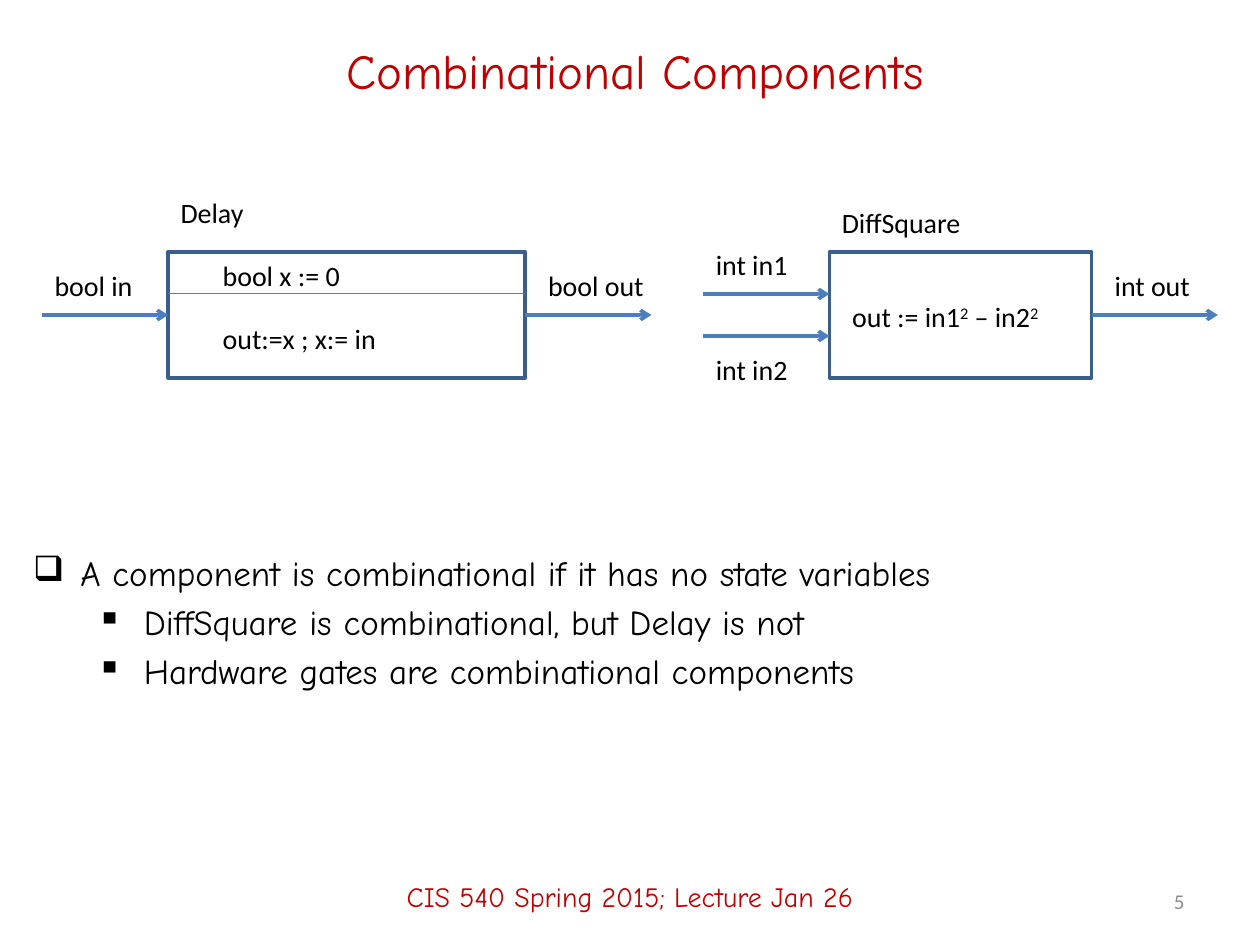
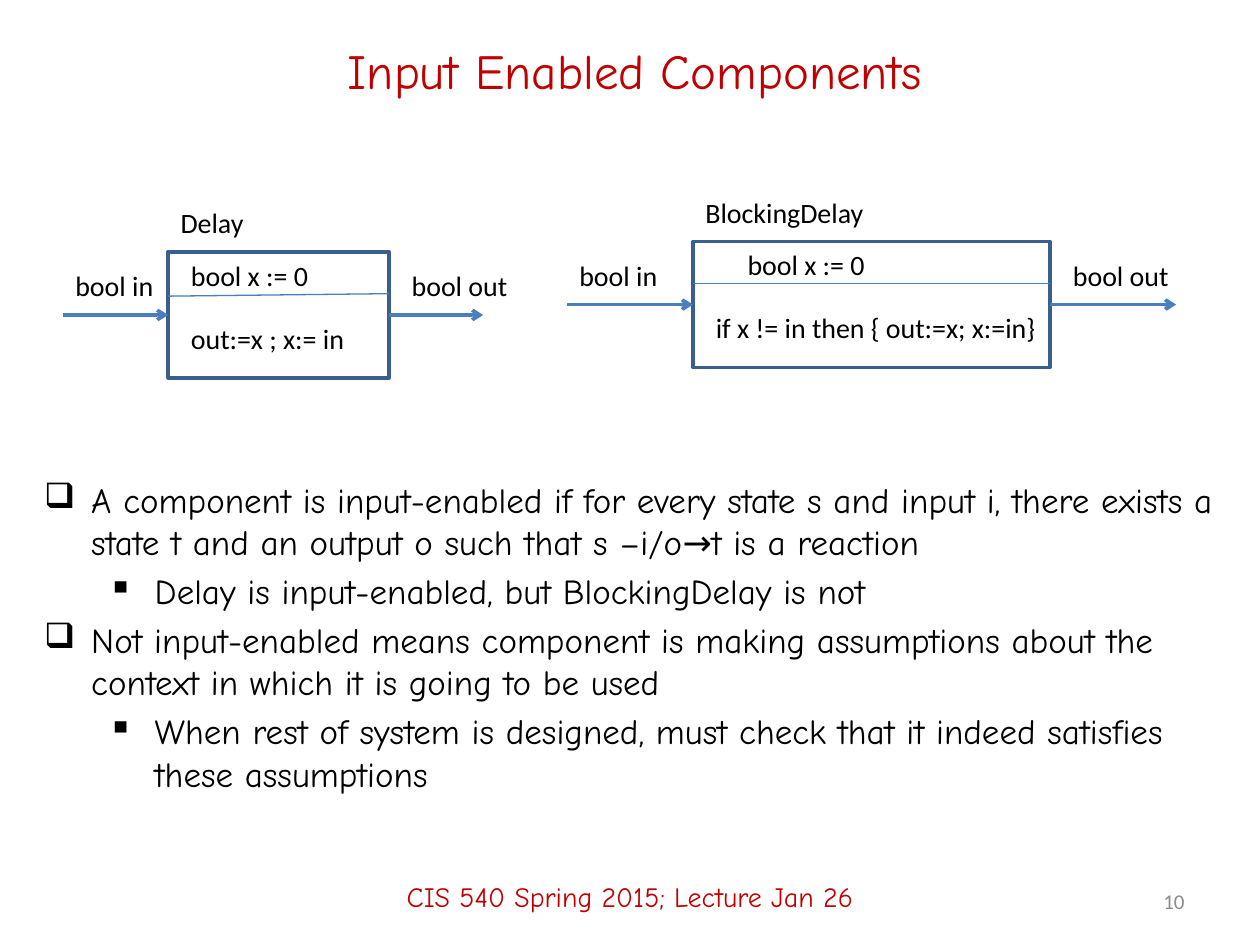
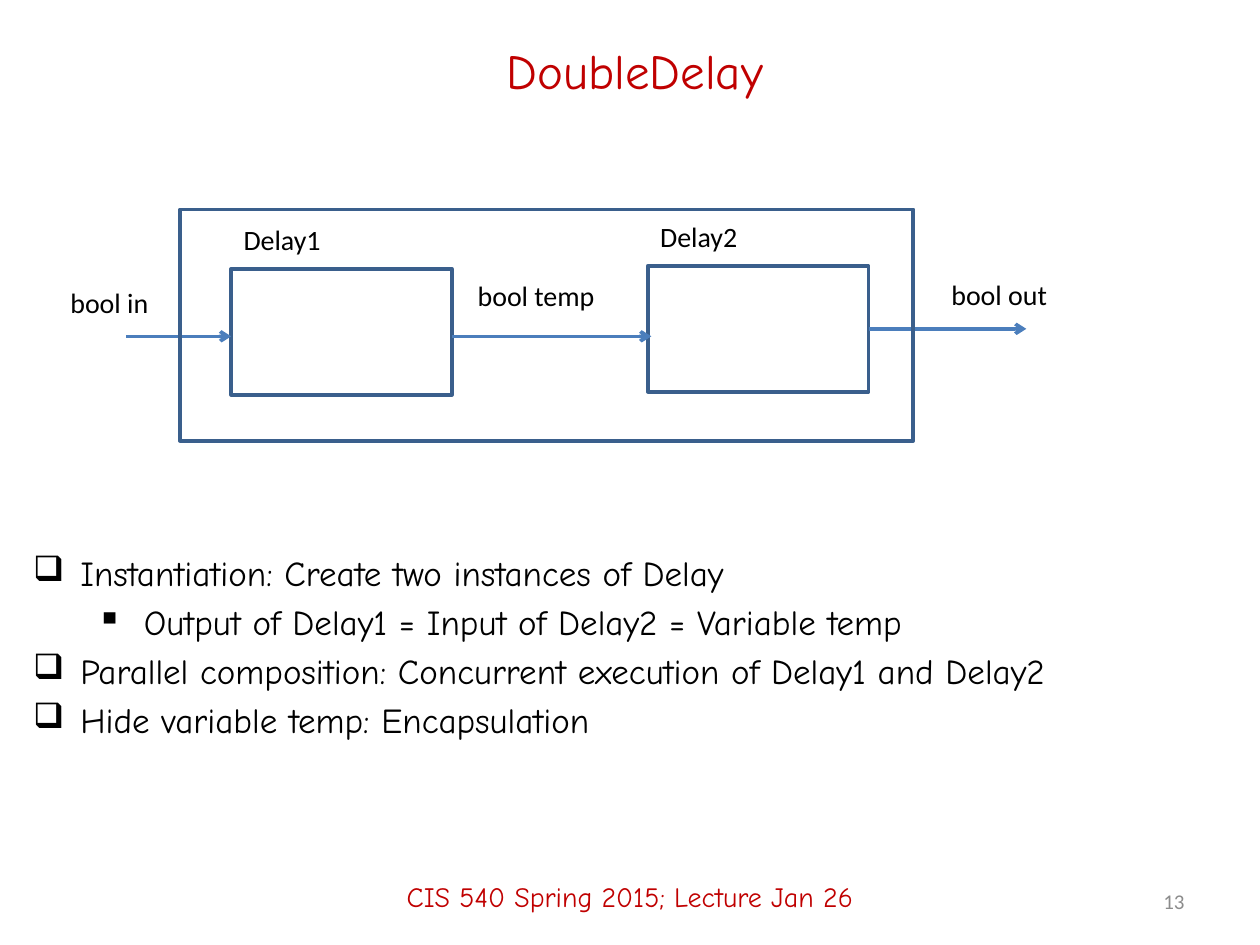
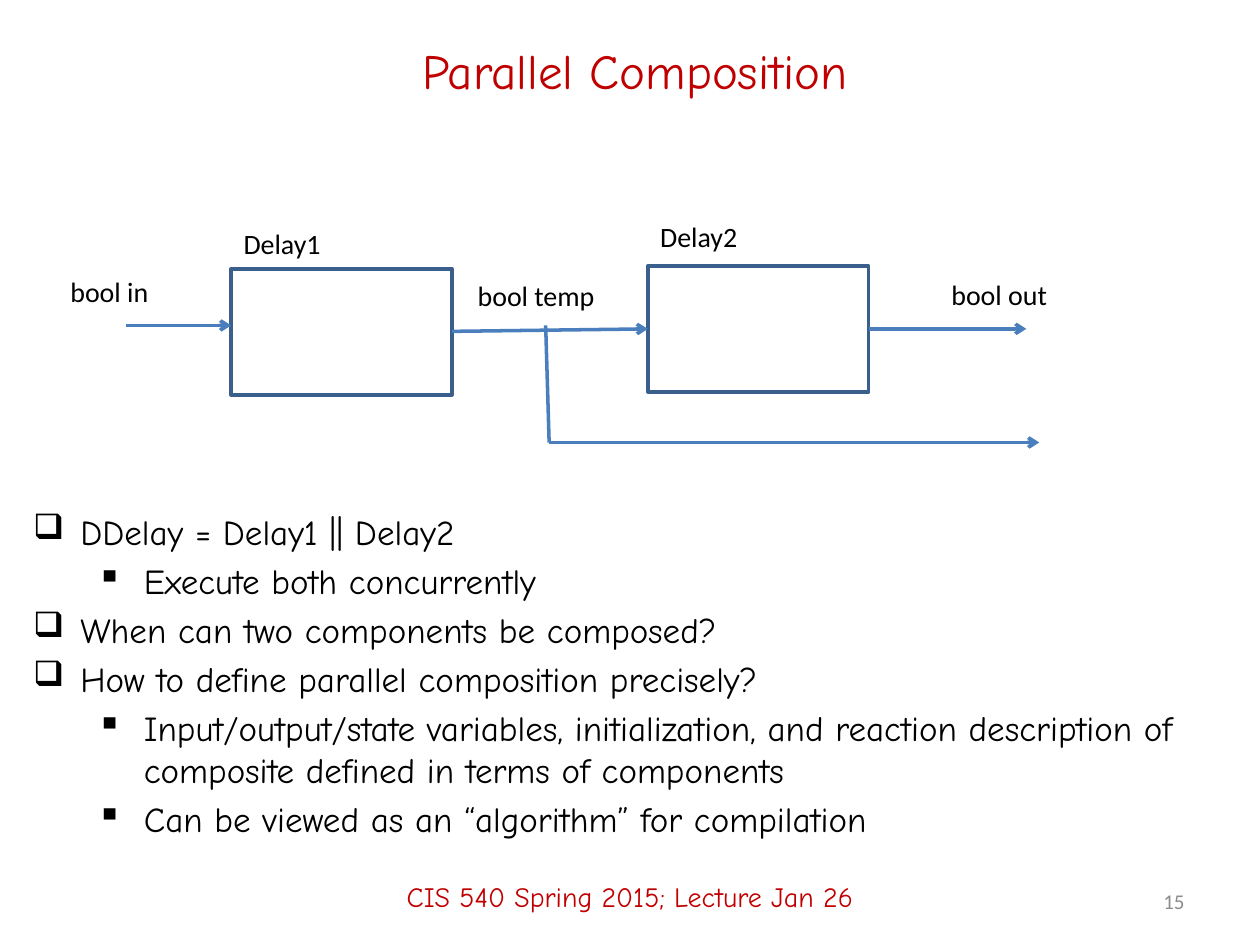
from lxml.etree import SubElement
from pptx import Presentation
from pptx.dml.color import RGBColor
from pptx.enum.shapes import MSO_CONNECTOR as Connector, MSO_SHAPE as Shape
from pptx.enum.text import MSO_ANCHOR as Anchor, MSO_AUTO_SIZE as AutoSize, PP_ALIGN as Align
from pptx.oxml.ns import qn
from pptx.util import Cm, Pt

RED = RGBColor(0xC0, 0x00, 0x00)
BLACK = RGBColor(0x00, 0x00, 0x00)
GRAY = RGBColor(0x8C, 0x8C, 0x8C)
BOX_BLUE = RGBColor(0x3A, 0x5F, 0x8C)
WIRE_BLUE = RGBColor(0x4B, 0x7E, 0xBC)
HAND_FONT = "Comic Neue"
CODE_FONT = "Calibri"
FOOTER = "CIS 540 Spring 2015; Lecture Jan 26"
BULLETS = [("❑", 0.95), ("▪", 2.23)]
HANGING = 0.95
LABEL_HEIGHT = 0.94
LABEL_RISE = 1.06
DELAY_SIZE = (4.45, 2.54)
FRAME = (3.63, 4.22, 14.78, 4.67)
LABEL_WIDTHS = {
    "bool in": 2.11, "bool out": 2.46, "int in1": 1.98, "int in2": 1.98,
    "int out": 2.06, "bool temp": 3.02, "bool x := 0": 2.9,
    "out:=x ; x:= in": 3.63, "out := in1^2^ – in2^2": 4.37,
    "if x != in then { out:=x; x:=in}": 7.04, "Delay": 1.8, "Delay1": 2.08,
    "Delay2": 2.08, "DiffSquare": 2.95, "BlockingDelay": 3.73,
}


def add_text(slide, box, text, font=HAND_FONT, size=20, color=BLACK,
             align=Align.LEFT, anchor=Anchor.TOP, wrap=True):
    frame = slide.shapes.add_textbox(*map(Cm, box)).text_frame
    frame.word_wrap = wrap
    frame.auto_size = AutoSize.NONE if wrap else AutoSize.SHAPE_TO_FIT_TEXT
    frame.vertical_anchor = anchor
    for index, line in enumerate(text.split("\n")):
        paragraph = frame.add_paragraph() if index else frame.paragraphs[0]
        paragraph.alignment = align
        for part, piece in enumerate(line.split("^")):
            if not piece:
                continue
            run = paragraph.add_run()
            run.text = piece
            run.font.name = font
            run.font.size = Pt(size)
            run.font.color.rgb = color
            if part % 2:
                run.font._element.set("baseline", "30000")
    return frame


def add_label(slide, x, y, text):
    add_text(slide, (x, y, LABEL_WIDTHS[text], LABEL_HEIGHT), text,
             font=CODE_FONT, size=16, wrap=False)


def add_wire(slide, start, end, label="", shift=(0, -LABEL_RISE), width=2, arrow=True):
    wire = slide.shapes.add_connector(Connector.STRAIGHT, *map(Cm, start + end))
    wire.line.color.rgb = WIRE_BLUE
    wire.line.width = Pt(width)
    if arrow:
        SubElement(wire.line._get_or_add_ln(), qn("a:tailEnd"), type="arrow")
    SubElement(wire._element.spPr, qn("a:effectLst"))
    if label:
        add_label(slide, start[0] + shift[0], start[1] + shift[1], label)


def add_outline(slide, box):
    outline = slide.shapes.add_shape(Shape.RECTANGLE, *map(Cm, box))
    outline.shadow.inherit = False
    outline.fill.background()
    outline.line.color.rgb = BOX_BLUE
    outline.line.width = Pt(2)


def add_component(slide, box, name, name_rise=LABEL_RISE):
    add_outline(slide, box)
    add_label(slide, box[0], box[1] - name_rise, name)


def add_output(slide, box, length, label):
    x, y, width, height = box
    right, middle = x + width, y + height / 2
    add_wire(slide, (right, middle), (right + length, middle), label,
             shift=(0.21, -LABEL_RISE))


def add_stateful(slide, box, name, update, indents, wires,
                 name_rise=LABEL_RISE, tilt=0):
    x, y, width, height = box
    middle = y + height / 2
    add_component(slide, box, name, name_rise)
    add_wire(slide, (x - wires[0], middle), (x, middle), "bool in")
    add_output(slide, box, wires[1], "bool out")
    add_wire(slide, (x, y + 0.84 + tilt), (x + width, y + 0.84),
             width=0.75, arrow=False)
    add_label(slide, x + indents[0], y, "bool x := 0")
    add_label(slide, x + indents[1], middle, update)


def add_diff_square(slide, box):
    x, y, width, height = box
    add_component(slide, box, "DiffSquare")
    for drop, label, rise in ((height / 3, "int in1", -LABEL_RISE),
                              (height * 2 / 3, "int in2", 0.21)):
        add_wire(slide, (x - 2.54, y + drop), (x, y + drop), label, shift=(0, rise))
    add_output(slide, box, 2.54, "int out")
    add_label(slide, x + 0.21, y + 0.84, "out := in1^2^ – in2^2")


def add_delay_chain(slide, box, input_drop, temp_drops, temp_end, name_rise=LABEL_RISE):
    x, y = box[:2]
    first = (x + 1.03, y + 1.2) + DELAY_SIZE
    second = (x + 9.43, y + 1.14) + DELAY_SIZE
    first_right = first[0] + first[2]
    second_right = second[0] + second[2]
    output_y = second[1] + second[3] / 2
    add_component(slide, first, "Delay1", name_rise)
    add_component(slide, second, "Delay2")
    add_wire(slide, (x - 1.09, y + input_drop), (first[0], y + input_drop),
             "bool in", shift=(-1.37, -1.15))
    add_wire(slide, (first_right, y + temp_drops[0]), (x + temp_end, y + temp_drops[1]))
    add_label(slide, first_right + 0.27, y + 1.27, "bool temp")
    add_wire(slide, (second_right, output_y), (second_right + 3.18, output_y),
             "bool out", shift=(1.42, -1.15))


def add_temp_branch(slide, box):
    x, y = box[:2]
    corner = (x + 7.44, y + 4.7)
    add_wire(slide, (x + 7.37, y + 2.34), corner, arrow=False)
    add_wire(slide, corner, (x + 17.32, corner[1]))


def add_points(slide, box, points):
    frame = add_text(slide, box, "\n".join(text for _, text in points))
    for index, (paragraph, (level, _)) in enumerate(zip(frame.paragraphs, points)):
        mark, indent = BULLETS[level]
        paragraph.level = level
        paragraph.space_before = Pt(4 if index else 0)
        properties = paragraph._p.get_or_add_pPr()
        properties.set("marL", str(Cm(indent)))
        properties.set("indent", str(Cm(-HANGING)))
        SubElement(properties, qn("a:buChar"), char=mark)


def start_slide(deck, title, number):
    slide = deck.slides.add_slide(deck.slide_layouts[6])
    add_text(slide, (1.9, 0.43, 21.8, 1.98), title, size=28, color=RED,
             align=Align.CENTER, anchor=Anchor.MIDDLE)
    add_text(slide, (0, 17.07, 25.4, 1.98), FOOTER, size=16, color=RED,
             align=Align.CENTER, anchor=Anchor.MIDDLE)
    add_text(slide, (18.2, 17.65, 5.93, 1.02), str(number), font=CODE_FONT, size=12,
             color=GRAY, align=Align.RIGHT, anchor=Anchor.MIDDLE)
    return slide


def combinational_slide(deck):
    slide = start_slide(deck, "Combinational Components", 5)
    add_stateful(slide, (3.39, 5.08, 7.2, 2.54), "Delay", "out:=x ; x:= in",
                 indents=(0.85, 0.85), wires=(2.54, 2.54), name_rise=1.27)
    add_diff_square(slide, (16.72, 5.08, 5.29, 2.54))
    add_points(slide, (0.42, 11, 24.55, 2.96), [
        (0, "A component is combinational if it has no state variables"),
        (1, "DiffSquare is combinational, but Delay is not"),
        (1, "Hardware gates are combinational components"),
    ])


def input_enabled_slide(deck):
    slide = start_slide(deck, "Input Enabled Components", 10)
    add_stateful(slide, (3.39, 5.08, 4.45, 2.54), "Delay", "out:=x ; x:= in",
                 indents=(0.21, 0.21), wires=(2.12, 1.9), tilt=0.05)
    add_stateful(slide, (13.97, 4.87, 7.2, 2.54), "BlockingDelay",
                 "if x != in then { out:=x; x:=in}",
                 indents=(0.85, 0.21), wires=(2.54, 2.54))
    add_points(slide, (0.64, 9.53, 24.55, 6.99), [
        (0, "A component is input-enabled if for every state s and input i, "
            "there exists a state t and an output o such that s –i/o→t is a reaction"),
        (1, "Delay is input-enabled, but BlockingDelay is not"),
        (0, "Not input-enabled means component is making assumptions about "
            "the context in which it is going to be used"),
        (1, "When rest of system is designed, must check that it indeed "
            "satisfies these assumptions"),
    ])


def double_delay_slide(deck):
    slide = start_slide(deck, "DoubleDelay", 13)
    add_delay_chain(slide, FRAME, input_drop=2.56, temp_drops=(2.56, 2.56), temp_end=9.5)
    add_outline(slide, FRAME)
    add_points(slide, (0.42, 11, 24.98, 5.08), [
        (0, "Instantiation: Create two instances of Delay"),
        (1, "Output of Delay1 = Input of Delay2 = Variable temp"),
        (0, "Parallel composition: Concurrent execution of Delay1 and Delay2"),
        (0, "Hide variable temp: Encapsulation"),
    ])


def parallel_slide(deck):
    slide = start_slide(deck, "Parallel Composition", 15)
    add_delay_chain(slide, FRAME, input_drop=2.34, temp_drops=(2.46, 2.41),
                    temp_end=9.43, name_rise=0.97)
    add_temp_branch(slide, FRAME)
    add_points(slide, (0.42, 10.16, 24.34, 6.77), [
        (0, "DDelay = Delay1 || Delay2"),
        (1, "Execute both concurrently"),
        (0, "When can two components be composed?"),
        (0, "How to define parallel composition precisely?"),
        (1, "Input/output/state variables, initialization, and reaction "
            "description of composite defined in terms of components"),
        (1, "Can be viewed as an “algorithm” for compilation"),
    ])


def main():
    deck = Presentation()
    deck.slide_width, deck.slide_height = Cm(25.4), Cm(19.05)
    for build in (combinational_slide, input_enabled_slide,
                  double_delay_slide, parallel_slide):
        build(deck)
    deck.save("out.pptx")


if __name__ == "__main__":
    main()
